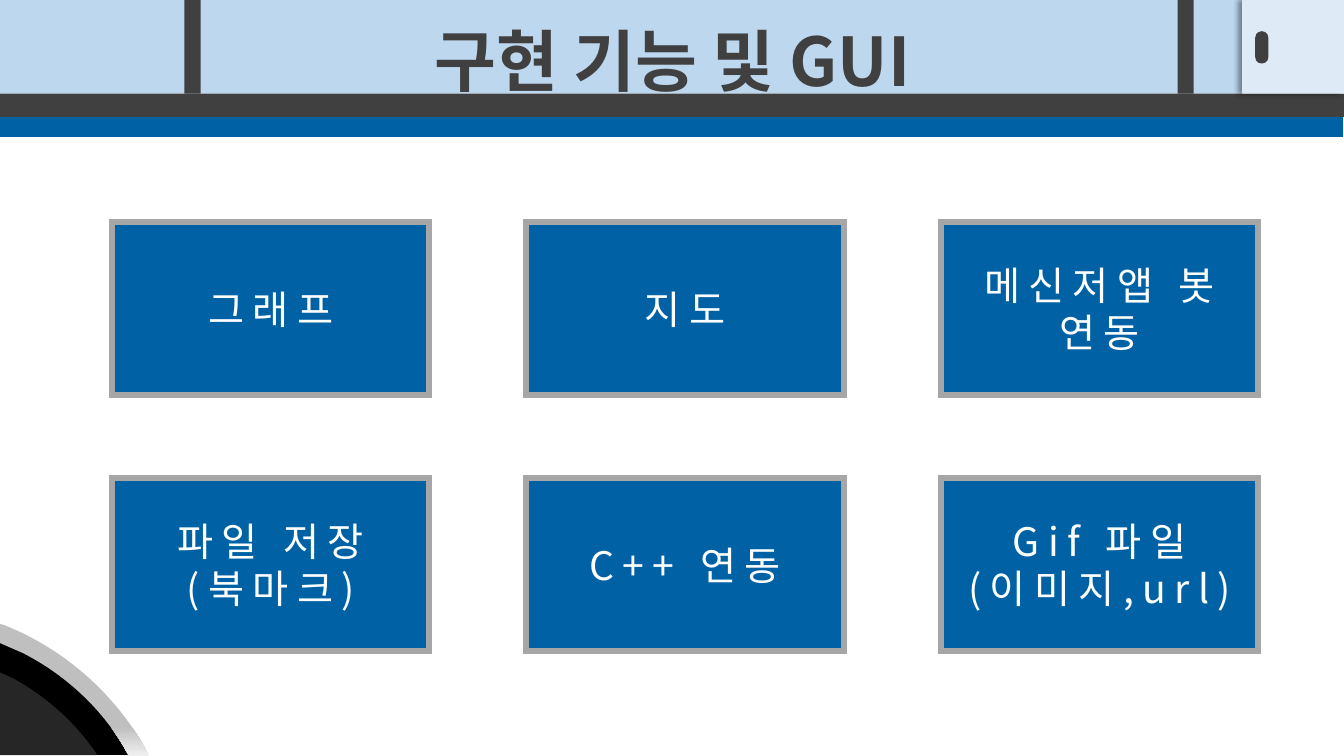
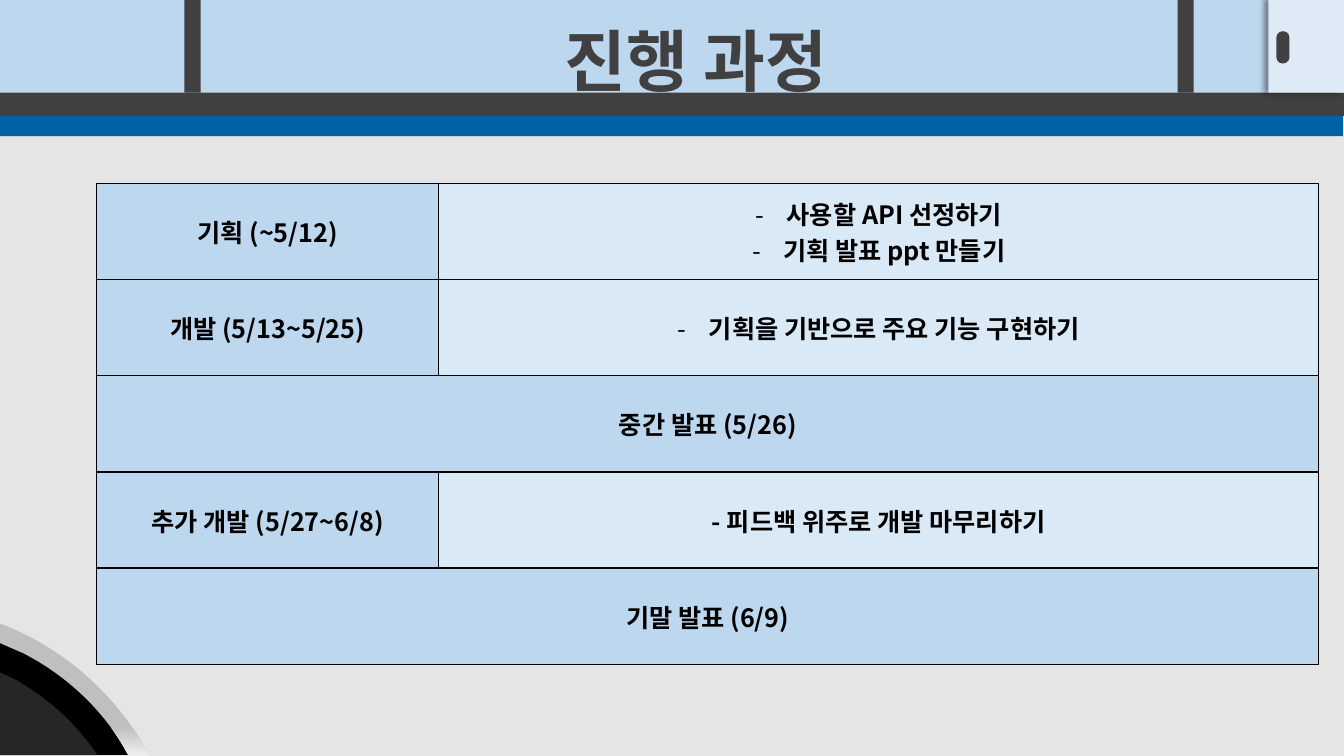
from lxml import etree
from pptx import Presentation
from pptx import util as u
from pptx.dml.color import RGBColor
from pptx.enum import shapes, text
from pptx.oxml import ns

FONT = "Noto Sans CJK KR"
SLIDE_W, SLIDE_H = 13.33, 7.5
WHITE, BLACK, PAGE_GRAY = "FFFFFF", "000000", "E5E5E5"
BLUE, SKY, PALE, TAB = "0062A4", "BDD7EE", "DAE9F6", "DEEBF7"
DARK, COAL, FRAME, SHINE = "404040", "262626", "A6A6A6", ["BFBFBF", "F0F0F0"]

TYRE = [(0, 6.36), (0.13, 6.41), [(0.57, 6.61), (0.94, 6.93), (1.2, 7.33)],
        (1.3, 7.49), (0, 7.49)]
HUB = [(0, 6.67), (0.13, 6.73), [(0.46, 6.91), (0.75, 7.17), (0.96, 7.48)],
       (0.96, 7.49), (0, 7.49)]
RIM = [(0, 6.19), (0.04, 6.2), [(0.59, 6.42), (1.06, 6.81), (1.38, 7.32)],
       (1.48, 7.5), (1.28, 7.5), (1.23, 7.41),
       [(0.99, 7.01), (0.64, 6.69), (0.23, 6.48)], (0, 6.38)]

FEATURES = [
    ["그래프", "지도", "메신저앱 봇\n연동"],
    ["파일 저장\n(북마크)", "C++ 연동", "Gif 파일\n(이미지,url)"],
]
SCHEDULE = [
    ("기획 (~5/12)", "사용할 API 선정하기\n기획 발표 ppt 만들기", True),
    ("개발 (5/13~5/25)", "기획을 기반으로 주요 기능 구현하기", True),
    ("중간 발표 (5/26)", None, False),
    ("추가 개발 (5/27~6/8)", "- 피드백 위주로 개발 마무리하기", False),
    ("기말 발표 (6/9)", None, False),
]


def rgb(hex_code):
    return RGBColor.from_string(hex_code)


def paint(target, color):
    target.fill.solid()
    target.fill.fore_color.rgb = rgb(color)


def sub(parent, tag, **attributes):
    return etree.SubElement(parent, ns.qn(tag), attributes)


def write(frame, words, size, color, bold=False, spacing=0):
    frame.text = words
    for paragraph in frame.paragraphs:
        paragraph.alignment = text.PP_ALIGN.CENTER
        for run in paragraph.runs:
            font = run.font
            font.name, font.size, font.bold = FONT, u.Pt(size), bold
            font.color.rgb = rgb(color)
            properties = run._r.get_or_add_rPr()
            sub(properties, "a:ea", typeface=FONT)
            if spacing:
                properties.set("spc", str(spacing * 100))


def add_block(slide, box, color, kind=shapes.MSO_SHAPE.RECTANGLE):
    block = slide.shapes.add_shape(kind, *map(u.Inches, box))
    block.shadow.inherit = False
    paint(block, color)
    block.line.fill.background()
    return block


def add_tab_shadow(tab):
    effects = tab._element.spPr.find(ns.qn("a:effectLst"))
    shadow = sub(effects, "a:outerShdw", blurRad=str(u.Pt(4)),
                 dist=str(u.Pt(3)), dir="10800000", algn="r", rotWithShape="0")
    sub(sub(shadow, "a:srgbClr", val=BLACK), "a:alpha", val="40000")


def add_header(slide, top, tab_left, slot_left):
    for left, offset, width, height, color in [
        (-0.01, 0, SLIDE_W, 0.93, SKY),
        (-0.01, 1.16, SLIDE_W, 0.2, BLUE),
        (-0.01, 0.93, SLIDE_W + 0.01, 0.23, DARK),
        (1.83, 0, 0.16, 0.93, DARK),
        (11.68, 0, 0.16, 0.93, DARK),
    ]:
        add_block(slide, (left, top + offset, width, height), color)
    tab = add_block(slide, (tab_left, top, SLIDE_W - tab_left, 0.93), TAB)
    add_tab_shadow(tab)
    slot = add_block(slide, (slot_left, 0.31, 0.13, 0.32), DARK,
                     shapes.MSO_SHAPE.ROUNDED_RECTANGLE)
    slot.adjustments[0] = 0.48


def place_title(slide, words, left, width, top=-0.26, height=1.16):
    title = slide.shapes.title
    title.left, title.top, title.width, title.height = map(
        u.Inches, (left, top, width, height))
    frame = title.text_frame
    frame.word_wrap = True
    frame.auto_size = text.MSO_AUTO_SIZE.NONE
    frame.vertical_anchor = text.MSO_ANCHOR.TOP
    write(frame, words, 48, DARK, bold=True)
    frame.paragraphs[0].line_spacing = 1.5
    slide.shapes._spTree.append(title._element)


def trace(outline, steps=16):
    points = []
    for part in outline:
        if isinstance(part, tuple):
            points.append(part)
            continue
        corners = [points[-1], *part]
        for step in range(1, steps + 1):
            t = step / steps
            weights = ((1 - t) ** 3, 3 * t * (1 - t) ** 2, 3 * t * t * (1 - t), t ** 3)
            points.append(tuple(sum(w * corner[axis] for w, corner in zip(weights, corners))
                                for axis in (0, 1)))
    return [(u.Inches(x), u.Inches(y)) for x, y in points]


def add_outline(slide, outline):
    start, *rest = trace(outline)
    builder = slide.shapes.build_freeform(*start)
    builder.add_line_segments(rest, close=True)
    piece = builder.convert_to_shape()
    piece.shadow.inherit = False
    piece.line.fill.background()
    return piece


def add_wheel(slide):
    paint(add_outline(slide, TYRE), BLACK)
    paint(add_outline(slide, HUB), COAL)
    shine = add_outline(slide, RIM).fill
    shine.gradient()
    shine.gradient_angle = 270
    for stop, color, position in zip(shine.gradient_stops, SHINE, (0.78, 1)):
        stop.color.rgb = rgb(color)
        stop.position = position


def add_feature_grid(slide, left, top, card_w=3.15, card_h=1.72, gap_x=0.96, gap_y=0.82):
    for row, features in enumerate(FEATURES):
        for column, feature in enumerate(features):
            card = add_block(slide, (left + column * (card_w + gap_x),
                                     top + row * (card_h + gap_y), card_w, card_h), BLUE)
            card.line.color.rgb = rgb(FRAME)
            card.line.width = u.Pt(4.25)
            sub(card._element.spPr.find(ns.qn("a:ln")), "a:miter", lim="800000")
            card.text_frame.word_wrap = True
            card.text_frame.vertical_anchor = text.MSO_ANCHOR.MIDDLE
            write(card.text_frame, feature, 28, WHITE, spacing=6)


def add_borders(cell):
    properties = cell._tc.get_or_add_tcPr()
    for index, side in enumerate(("a:lnL", "a:lnR", "a:lnT", "a:lnB")):
        border = etree.Element(ns.qn(side), w=str(u.Pt(1)))
        sub(sub(border, "a:solidFill"), "a:srgbClr", val=BLACK)
        properties.insert(index, border)


def add_dashes(frame):
    indent = u.Inches(0.31)
    for paragraph in frame.paragraphs:
        properties = paragraph._p.get_or_add_pPr()
        properties.set("marL", str(indent))
        properties.set("indent", str(-indent))
        sub(properties, "a:buFont", typeface=FONT)
        sub(properties, "a:buChar", char="-")


def add_schedule(slide, left, top, width, height, stage_w=3.39):
    table = slide.shapes.add_table(len(SCHEDULE), 2,
                                   *map(u.Inches, (left, top, width, height))).table
    table.first_row = table.horz_banding = False
    table.columns[0].width = u.Inches(stage_w)
    table.columns[1].width = u.Inches(width - stage_w)
    for row, (stage, tasks, dashed) in enumerate(SCHEDULE):
        stage_cell, task_cell = table.cell(row, 0), table.cell(row, 1)
        for cell, words, color in ((stage_cell, stage, SKY), (task_cell, tasks, PALE)):
            paint(cell, color)
            add_borders(cell)
            cell.vertical_anchor = text.MSO_ANCHOR.MIDDLE
            if words:
                write(cell.text_frame, words, 18, BLACK, bold=True)
        if dashed:
            add_dashes(task_cell.text_frame)
        if tasks is None:
            stage_cell.merge(task_cell)


def start_slide(deck, background):
    slide = deck.slides.add_slide(deck.slide_layouts[5])
    paint(slide.background, background)
    return slide


def build_features(deck):
    slide = start_slide(deck, WHITE)
    add_header(slide, 0, 12.32, 12.45)
    add_wheel(slide)
    place_title(slide, "구현 기능 및 GUI", 3.76, 5.82)
    add_feature_grid(slide, 1.11, 2.2)


def build_progress(deck):
    slide = start_slide(deck, PAGE_GRAY)
    add_header(slide, -0.01, 12.58, 12.66)
    place_title(slide, "진행 과정", 4.12, 5.57)
    add_wheel(slide)
    add_schedule(slide, 0.96, 1.82, 12.12, 4.77)


def main():
    deck = Presentation()
    deck.slide_width, deck.slide_height = u.Inches(SLIDE_W), u.Inches(SLIDE_H)
    build_features(deck)
    build_progress(deck)
    deck.save("out.pptx")


if __name__ == "__main__":
    main()
